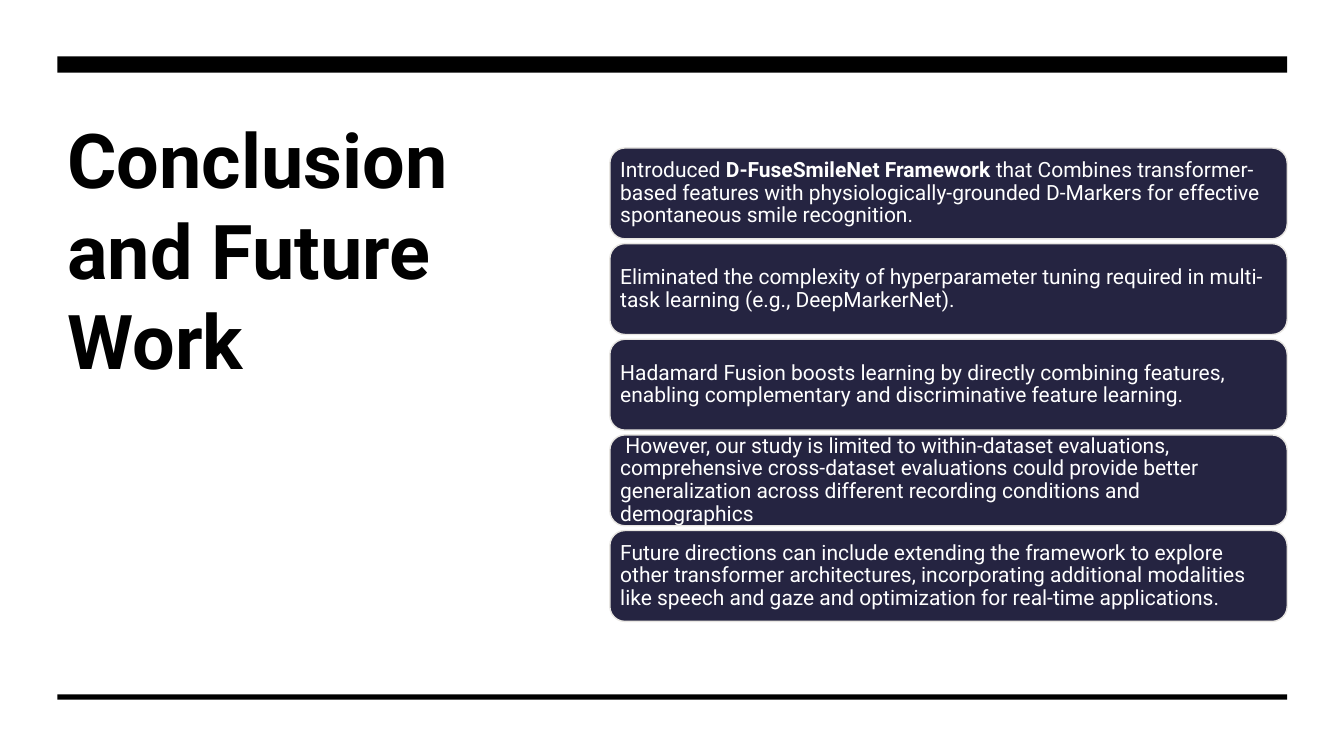
from pptx import Presentation
from pptx.dml.color import RGBColor
from pptx.enum.shapes import MSO_SHAPE as Shape
from pptx.enum.text import MSO_ANCHOR as Anchor, PP_ALIGN as Align
from pptx.util import Cm, Pt

BLACK, WHITE, NAVY, PALE = "000000", "FFFFFF", "252441", "E8E6E2"
MARGIN, CONTENT_WIDTH = 1.45, 30.99
CARD_LEFT, CARD_TOP, CARD_WIDTH, CARD_HEIGHT, CARD_STEP = 15.37, 3.73, 17.07, 2.29, 2.41

# Each conclusion is a list of (text, bold) pieces
CONCLUSIONS = [
    [("Introduced ", False), ("D-FuseSmileNet Framework ", True),
     ("that Combines transformer-based features with physiologically-grounded "
      "D-Markers for effective spontaneous smile recognition.", False)],
    [("Eliminated the complexity of hyperparameter tuning required in "
      "multi-task learning (e.g., DeepMarkerNet).", False)],
    [("Hadamard Fusion boosts learning by directly combining features, "
      "enabling complementary and discriminative feature learning.", False)],
    [(" However, our study is limited to within-dataset evaluations, "
      "comprehensive cross-dataset evaluations could provide better generalization "
      "across different recording conditions and demographics", False)],
    [("Future directions can include extending the framework to explore other "
      "transformer architectures, incorporating additional modalities like speech "
      "and gaze and optimization for real-time applications.", False)],
]


def color(value):
    return RGBColor.from_string(value)


class SlideBuilder:
    font_name = "Roboto"

    def __init__(self, slide):
        self.slide = slide

    def add_pieces(self, paragraph, pieces, size, text_color):
        paragraph.alignment = Align.LEFT
        for text, bold in pieces:
            run = paragraph.add_run()
            run.text = text
            run.font.name = self.font_name
            run.font.size = Pt(size)
            run.font.bold = bold
            run.font.color.rgb = color(text_color)

    def block(self, kind, left, top, width, height, fill):
        block = self.slide.shapes.add_shape(kind, Cm(left), Cm(top), Cm(width), Cm(height))
        block.shadow.inherit = False
        block.fill.solid()
        block.fill.fore_color.rgb = color(fill)
        block.line.fill.background()
        return block

    def rule(self, top, height):
        self.block(Shape.RECTANGLE, MARGIN, top, CONTENT_WIDTH, height, BLACK)

    def title(self, text, left, top, width, height):
        heading = self.slide.shapes.add_textbox(Cm(left), Cm(top), Cm(width), Cm(height))
        heading.text_frame.word_wrap = True
        paragraph = heading.text_frame.paragraphs[0]
        paragraph.space_after = Pt(6)
        self.add_pieces(paragraph, [(text, True)], 54, BLACK)

    def card(self, pieces, top):
        card = self.block(Shape.ROUNDED_RECTANGLE, CARD_LEFT, top, CARD_WIDTH, CARD_HEIGHT, NAVY)
        card.line.color.rgb = color(PALE)
        card.line.width = Pt(1)
        frame = card.text_frame
        frame.word_wrap = True
        frame.vertical_anchor = Anchor.MIDDLE
        frame.margin_left = frame.margin_right = Cm(0.15)
        frame.margin_top = frame.margin_bottom = Cm(0.15)
        paragraph = frame.paragraphs[0]
        paragraph.line_spacing = 0.9
        self.add_pieces(paragraph, pieces, 15, WHITE)


def main():
    deck = Presentation()
    deck.slide_width, deck.slide_height = Cm(33.87), Cm(19.05)
    builder = SlideBuilder(deck.slides.add_slide(deck.slide_layouts[6]))

    # Title
    builder.title("Conclusion and Future Work", MARGIN, 2.72, 11.91, 9.35)

    # Thick rule above, thin rule below
    builder.rule(1.42, 0.41)
    builder.rule(17.5, 0.13)

    # Conclusion cards
    for index, pieces in enumerate(CONCLUSIONS):
        builder.card(pieces, CARD_TOP + index * CARD_STEP)

    deck.save("out.pptx")


if __name__ == "__main__":
    main()
